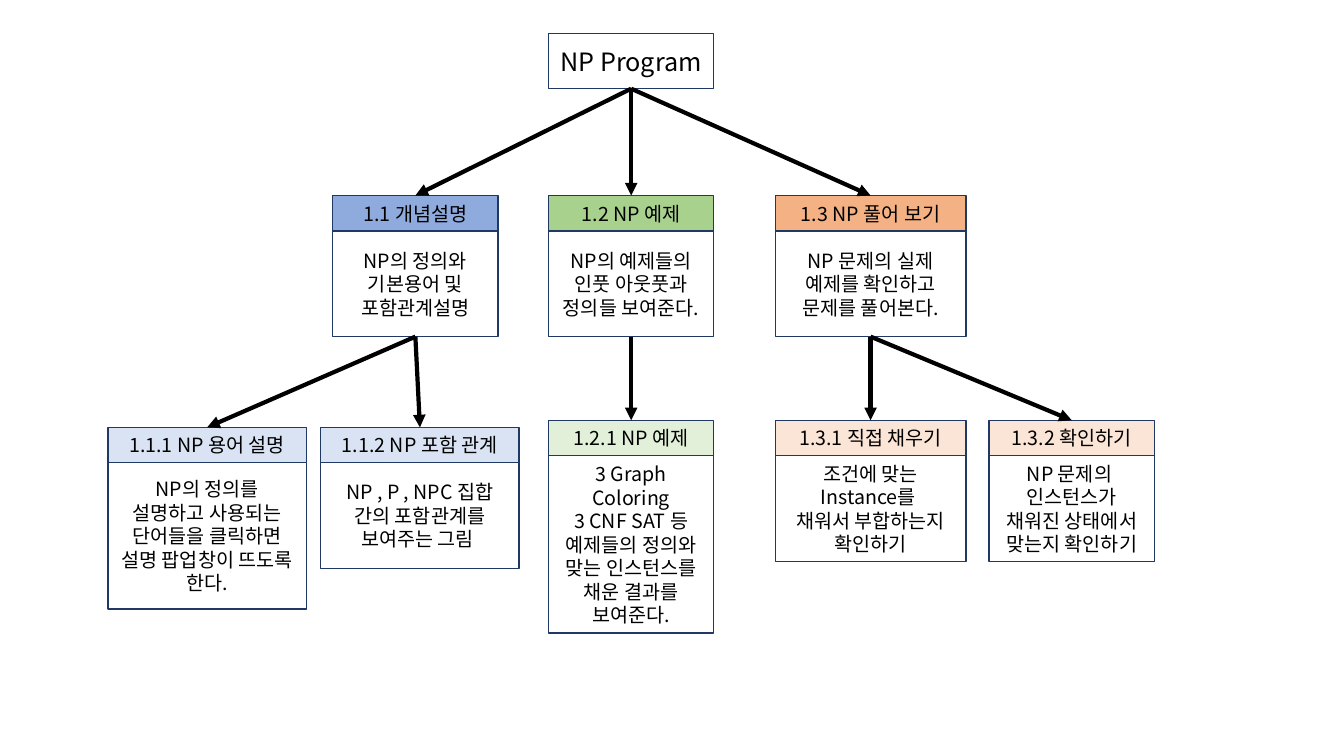
from lxml.etree import SubElement
from pptx import Presentation
from pptx.dml.color import RGBColor
from pptx.enum.shapes import MSO_CONNECTOR as Link, MSO_SHAPE as Shape
from pptx.enum.text import MSO_ANCHOR as Anchor, PP_ALIGN as Align
from pptx.oxml.ns import qn
from pptx.util import Inches, Pt

FONT = "Noto Sans CJK KR"
BLACK = RGBColor(0x00, 0x00, 0x00)
NAVY = RGBColor(0x20, 0x38, 0x64)
BLUE = RGBColor(0x8F, 0xAA, 0xDC)
GREEN = RGBColor(0xA9, 0xD1, 0x8E)
ORANGE = RGBColor(0xF4, 0xB1, 0x83)
PALE_BLUE = RGBColor(0xDA, 0xE3, 0xF3)
PALE_GREEN = RGBColor(0xE2, 0xF0, 0xD9)
PALE_ORANGE = RGBColor(0xFB, 0xE5, 0xD6)

# Grid: box widths, row tops and heights in inches
SLIM, MID, WIDE = 1.64, 1.89, 1.97
TOP, ROW, LEAF, LOW = 0.33, 1.94, 4.17, 4.24
HEAD, BODY = 0.35, 1.05
COL_A, COL_B, COL_C = 3.3, 5.44, 7.69

deck = Presentation()
deck.slide_width, deck.slide_height = Inches(13.33), Inches(7.5)
slide = deck.slides.add_slide(deck.slide_layouts[6])


def add_box(shapes, left, top, width, height, lines, size=14, fill=None):
    box = shapes.add_shape(Shape.RECTANGLE, Inches(left), Inches(top),
                           Inches(width), Inches(height))
    box.shadow.inherit = False
    if fill is None:
        box.fill.background()
    else:
        box.fill.solid()
        box.fill.fore_color.rgb = fill
    box.line.color.rgb = NAVY
    box.line.width = Pt(1)
    frame = box.text_frame
    frame.word_wrap = True
    frame.vertical_anchor = Anchor.MIDDLE
    frame.text = "\n".join(lines)
    for para in frame.paragraphs:
        para.alignment = Align.CENTER
        para.font.size = Pt(size)
        para.font.color.rgb = BLACK
        para.font.name = FONT
        # Hangul takes the East Asian font
        for props in para._p.iter(qn("a:defRPr")):
            SubElement(props, qn("a:ea"), typeface=FONT)
    return box


def add_arrow(start, end):
    arrow = slide.shapes.add_connector(Link.STRAIGHT, 0, 0, 0, 0)
    arrow.begin_connect(start, 2)
    arrow.end_connect(end, 0)
    arrow.line.color.rgb = BLACK
    arrow.line.width = Pt(3)
    SubElement(arrow.line._get_or_add_ln(), qn("a:tailEnd"), type="triangle")
    SubElement(arrow._element.spPr, qn("a:effectLst"))


# Root
root = add_box(slide.shapes, COL_B, TOP, SLIM, 0.55, ["NP Program"], size=18)

# Cards: number, title, left, top, width, body height, fill, body lines
cards = [
    ("1.1", "개념설명", COL_A, ROW, SLIM, BODY, BLUE,
     ["NP의 정의와", " 기본용어 및 ", "포함관계설명"]),
    ("1.2", "NP 예제", COL_B, ROW, SLIM, BODY, GREEN,
     ["NP의 예제들의 인풋 아웃풋과 정의들 보여준다."]),
    ("1.3", "NP 풀어 보기", COL_C, ROW, MID, BODY, ORANGE,
     ["NP 문제의 실제 예제를 확인하고 문제를 풀어본다."]),
    ("1.1.1", "NP 용어 설명", 1.07, LOW, WIDE, 1.45, PALE_BLUE,
     ["NP의 정의를 설명하고 사용되는 단어들을 클릭하면 설명 팝업창이 뜨도록 한다."]),
    ("1.1.2", "NP 포함 관계", 3.18, LOW, WIDE, BODY, PALE_BLUE,
     ["NP , P , NPC 집합 간의 포함관계를 보여주는 그림 "]),
    ("1.2.1", "NP 예제", COL_B, LEAF, SLIM, 1.76, PALE_GREEN,
     ["3 Graph Coloring", "3 CNF SAT 등",
      "예제들의 정의와 맞는 인스턴스를 채운 결과를 보여준다."]),
    ("1.3.1", "직접 채우기", COL_C, LEAF, MID, BODY, PALE_ORANGE,
     ["조건에 맞는 Instance를 ", "채워서 부합하는지 확인하기"]),
    ("1.3.2", "확인하기", 9.81, LEAF, SLIM, BODY, PALE_ORANGE,
     ["NP 문제의 ", "인스턴스가 채워진 상태에서 맞는지 확인하기"]),
]
heads, bodies = {}, {"1": root}
for num, title, left, top, width, height, fill, lines in cards:
    group = slide.shapes.add_group_shape().shapes
    heads[num] = add_box(group, left, top, width, HEAD,
                         [f"{num} {title}"], fill=fill)
    bodies[num] = add_box(group, left, top + HEAD, width, height, lines)

# Arrows: each card hangs from the one whose number it extends
for num, head in heads.items():
    add_arrow(bodies[num.rpartition(".")[0]], head)

deck.save("out.pptx")
